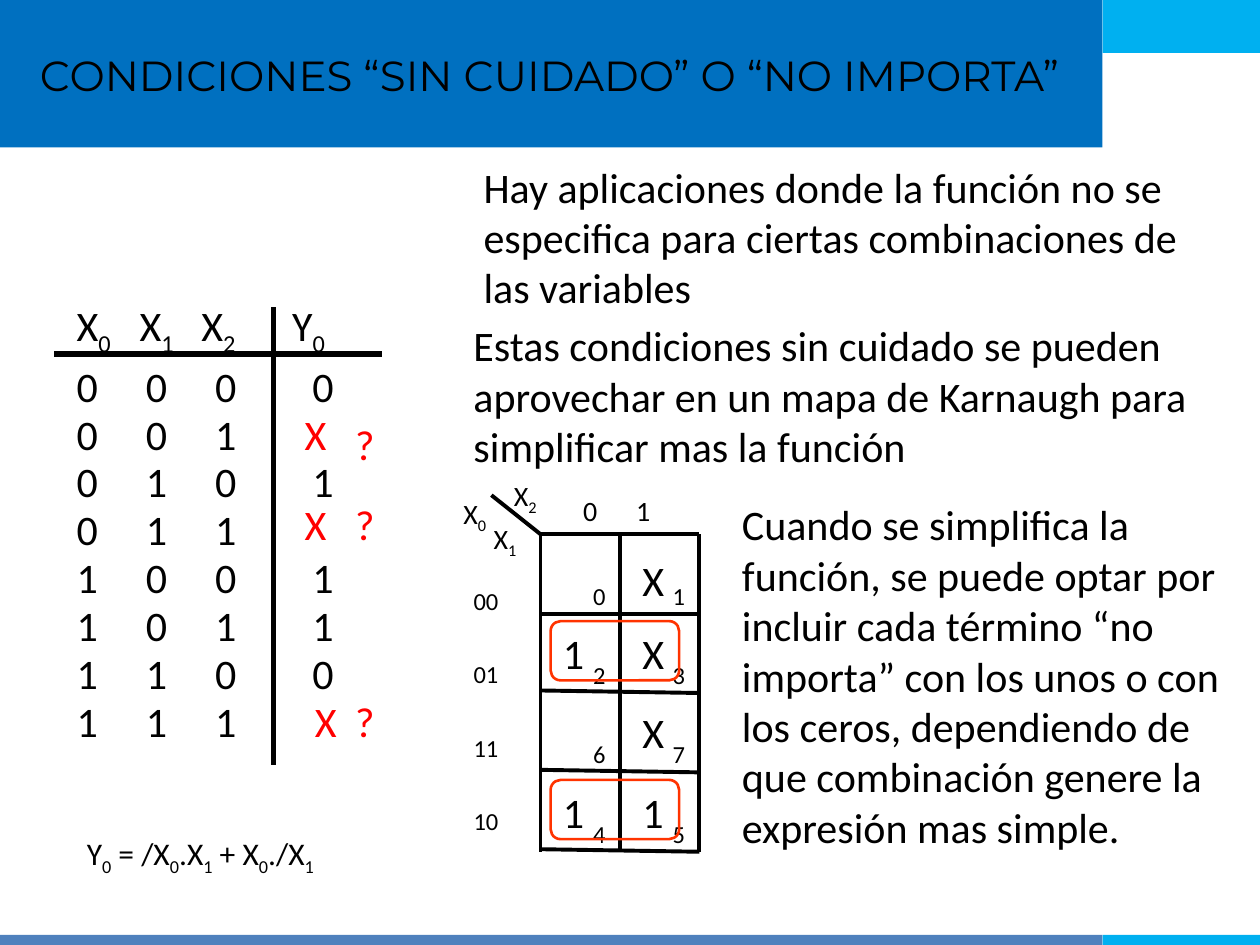
from dataclasses import dataclass

from lxml.etree import SubElement
from pptx import Presentation
from pptx.dml.color import RGBColor
from pptx.enum.shapes import MSO_CONNECTOR as Connector, MSO_SHAPE as Shape
from pptx.enum.text import MSO_ANCHOR as Anchor, PP_ALIGN as Align
from pptx.oxml.ns import qn
from pptx.util import Inches, Pt


@dataclass(frozen=True)
class Theme:
    """Colours, fonts and type sizes of the slide."""
    ink: str = "000000"
    alert: str = "FF0000"
    loop: str = "FF3300"
    band: str = "0070C0"
    accent: str = "00B0F0"
    footer: str = "4F81BD"
    heading_font: str = "Montserrat"
    body_font: str = "Calibri"
    body: int = 24
    formula: int = 18
    label: int = 16
    index: int = 14


THEME = Theme()


def apply_format(target, values):
    """Set every attribute named in a dict on the target."""
    for name, value in values.items():
        setattr(target, name, value)


def style_span(span, size, color, font):
    """Give a run its typeface, size and colour."""
    apply_format(span.font, {"name": font, "size": Pt(size)})
    span.font.color.rgb = RGBColor.from_string(color)


def set_tabs(para, stops):
    """Add left tab stops, in inches, to a paragraph."""
    tab_list = SubElement(para._p.get_or_add_pPr(), qn("a:tabLst"))
    for stop in stops:
        SubElement(tab_list, qn("a:tab"), pos=str(Inches(stop)), algn="l")


def add_text(page, box, text, size=THEME.body, color=THEME.ink, tabs=(), spacing=None, wrap=True):
    """Place text in a box; an underscore lowers the character after it."""
    frame = page.shapes.add_textbox(*map(Inches, box)).text_frame
    frame.word_wrap = wrap
    for number, line in enumerate(text.split("\n")):
        para = frame.add_paragraph() if number else frame.paragraphs[0]
        if spacing:
            para.line_spacing = spacing
        if tabs:
            set_tabs(para, tabs)
        first, *rest = line.split("_")
        pieces = [(first, False)]
        for part in rest:
            pieces += [(part[0], True), (part[1:], False)]
        for piece, lowered in pieces:
            if piece:
                span = para.add_run()
                span.text = piece
                style_span(span, size, color, THEME.body_font)
                if lowered:
                    span._r.get_or_add_rPr().set("baseline", "-25000")


def add_rule(page, start, end, width):
    """Draw a straight black line between two points."""
    rule = page.shapes.add_connector(Connector.STRAIGHT, *map(Inches, (*start, *end)))
    rule.line.width = Pt(width)
    rule.line.color.rgb = RGBColor.from_string(THEME.ink)
    SubElement(rule._element.spPr, qn("a:effectLst"))


def build_frame(page, box, title):
    """Draw the coloured bands and set the title over the upper one."""
    left, top, width, height = box
    split, side, foot = 8.75, 1.25, 0.08
    bands = [
        (left, top, split, 1.17, THEME.band),
        (left + split, top, side, 0.42, THEME.accent),
        (left, top + height - foot, split, foot, THEME.footer),
        (left + split, top + height - foot, side, foot, THEME.accent),
    ]
    for *place, color in bands:
        band = page.shapes.add_shape(Shape.RECTANGLE, *map(Inches, place))
        band.shadow.inherit = False
        band.fill.solid()
        band.fill.fore_color.rgb = RGBColor.from_string(color)
        band.line.fill.background()
    heading = page.shapes.title
    place = (left + 0.11, top + 0.11, 8.5, 0.97)
    apply_format(heading, dict(zip(("left", "top", "width", "height"), map(Inches, place))))
    heading.text_frame.vertical_anchor = Anchor.MIDDLE
    para = heading.text_frame.paragraphs[0]
    para.alignment = Align.CENTER
    span = para.add_run()
    span.text = title
    style_span(span, THEME.body, THEME.ink, THEME.heading_font)
    page.shapes._spTree.append(heading._element)


def build_truth_table(page, box, outputs):
    """Draw the truth table with its unspecified outputs in red."""
    left, top, width, height = box
    text_left, first_row, pitch = left + 0.08, top + 0.48, 0.38
    add_rule(page, (left, top + 0.48), (left + width, top + 0.48), 3)
    add_rule(page, (left + 1.74, top + 0.11), (left + 1.74, top + height), 3)
    add_text(page, (text_left, top, 2.44, 0.5), "X_0\tX_1\tX_2\tY_0", tabs=(0.5, 0.99, 1.71))
    for number, output in enumerate(outputs):
        row_top = first_row + number * pitch
        known = output in "01"
        cells = list(f"{number:03b}") + ([output] if known else [])
        row_box = (text_left, row_top, 2.28 if known else 1.57, 0.5)
        add_text(page, row_box, "\t".join(cells), tabs=(0.55, 1.1, 1.87))
    for number, x_left, x_lift, mark_lift in [(1, 1.89, 0, 0.08), (3, 1.89, -0.04, -0.04), (7, 1.97, 0, 0)]:
        row_top = first_row + number * pitch
        for symbol, offset, lift in [("X", x_left, x_lift), ("?", 2.29, mark_lift)]:
            add_text(page, (left + offset, row_top + lift, 0.39, 0.5), symbol, color=THEME.alert)


def build_karnaugh_map(page, box, cells):
    """Draw the Karnaugh map with headings, cell numbers, values and loops."""
    left, top, width, height = box
    cell = width / 2
    for row in range(5):
        y = top + row * cell
        add_rule(page, (left + width, y), (left, y - (0.02 if row > 1 else 0)), 2.25)
    for column in range(3):
        x = left + column * cell
        add_rule(page, (x, top), (x, top + height), 2.25)
    add_rule(page, (left - 0.39, top - 0.31), (left, top), 2.25)
    for name, x, y in [("X_2", -0.31, -0.49), ("X_0", -0.71, -0.35), ("X_1", -0.47, -0.15)]:
        add_text(page, (left + x, top + y, 0.47, 0.37), name, THEME.label)
    add_text(page, (left - 0.63, top + 0.01, 0.55, 2.35), "00\n01\n11\n10", THEME.index, spacing=2.5)
    add_text(page, (left + 0.24, top - 0.37, 0.94, 0.37), "0\t1", THEME.label, tabs=(0.42,))
    for row, pair in enumerate(cells):
        for column, (index, value) in enumerate(pair):
            x, y = left + column * cell, top + row * cell
            add_text(page, (x + 0.32, y + 0.32, 0.47, 0.34), index, THEME.index)
            if value:
                lift = 0.06 if row else 0.11
                add_text(page, (x + 0.08, y + lift, 0.37, 0.5), value, wrap=False)
    for row in (1, 3):
        place = (left + 0.08, top + row * cell + 0.06, 1.02, 0.47)
        loop = page.shapes.add_shape(Shape.ROUNDED_RECTANGLE, *map(Inches, place))
        loop.shadow.inherit = False
        loop.fill.background()
        loop.line.width = Pt(1.5)
        loop.line.color.rgb = RGBColor.from_string(THEME.loop)


def build_notes(page, notes):
    """Place each explanatory paragraph in its box."""
    for box, text in notes:
        add_text(page, box, text)


def main():
    """Build the slide and save it."""
    deck = Presentation()
    apply_format(deck, {"slide_width": Inches(10), "slide_height": Inches(7.5)})
    page = deck.slides.add_slide(deck.slide_layouts[5])
    build_frame(page, (0, 0, 10, 7.5), "CONDICIONES “SIN CUIDADO” O “NO IMPORTA”")
    build_truth_table(page, (0.43, 2.33, 2.6, 3.74), "0X1X110X")
    build_notes(page, [
        ((3.74, 1.23, 5.87, 1.31),
         "Hay aplicaciones donde la función no se especifica para ciertas "
         "combinaciones de las variables"),
        ((3.66, 2.49, 5.94, 1.31),
         "Estas condiciones sin cuidado se pueden aprovechar en un mapa de "
         "Karnaugh para simplificar mas la función"),
        ((5.79, 3.91, 4.21, 2.93),
         "Cuando se simplifica la función, se puede optar por incluir cada "
         "término “no importa” con los unos o con los ceros, dependiendo de "
         "que combinación genere la expresión mas simple."),
    ])
    build_karnaugh_map(page, (4.29, 4.24, 1.26, 2.52), [
        [("0", ""), ("1", "X")],
        [("2", "1"), ("3", "X")],
        [("6", ""), ("7", "X")],
        [("4", "1"), ("5", "1")],
    ])
    add_text(page, (0.59, 6.57, 2.68, 0.4), "Y_0 = /X_0.X_1 + X_0./X_1", THEME.formula)
    deck.save("out.pptx")


main()
